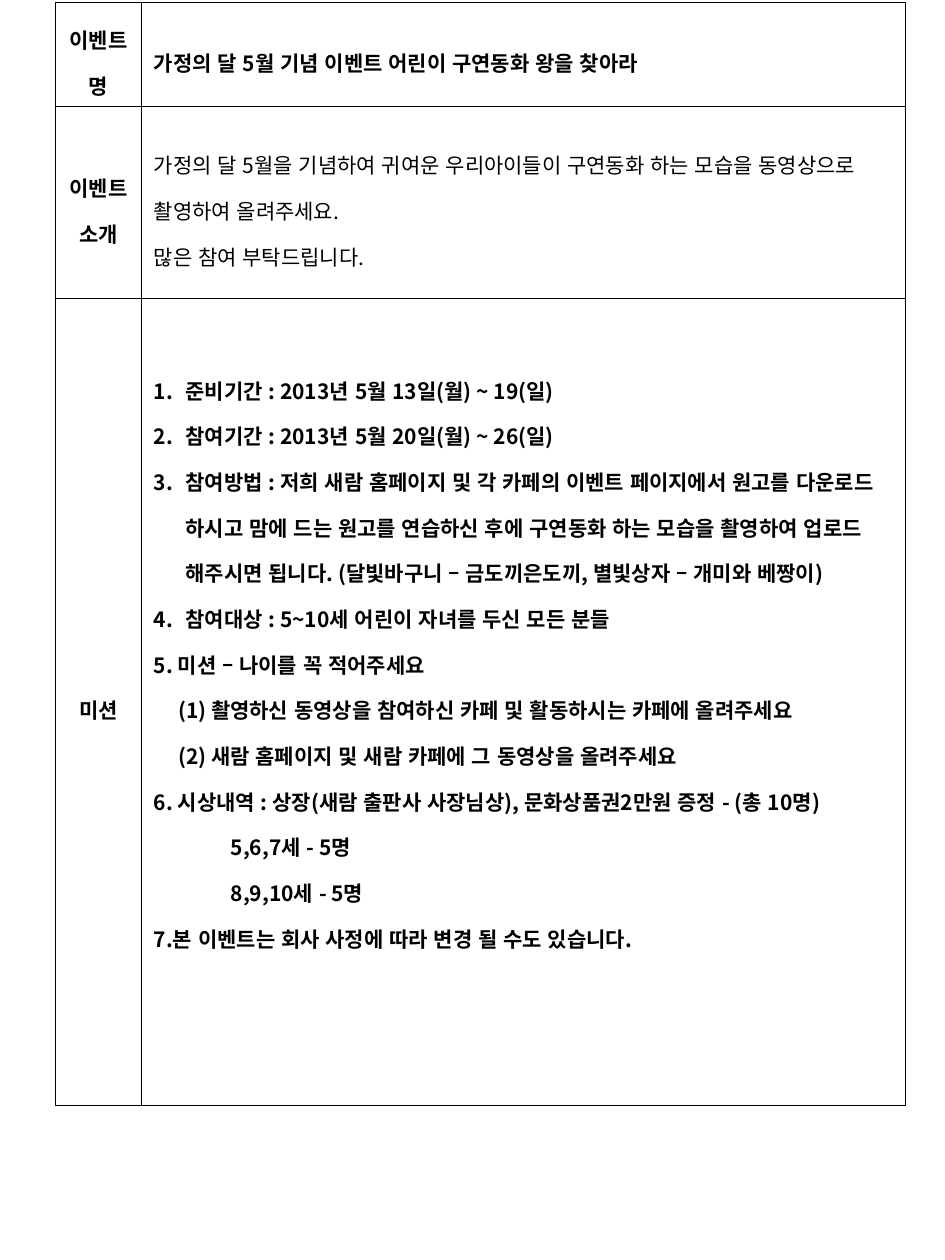
"""Build a one-page event notice as a three-row table."""
from pptx import Presentation
from pptx.dml.color import RGBColor
from pptx.enum.lang import MSO_LANGUAGE_ID
from pptx.enum.text import MSO_ANCHOR, PP_ALIGN
from pptx.oxml.ns import qn
from pptx.util import Cm, Pt
from lxml.etree import SubElement

COLORS = {"ink": "000000"}
FONT = "Noto Sans CJK KR"
PAGE_SIZE = Cm(19.05), Cm(25.4)
TABLE_LEFT, TABLE_TOP = Cm(1.12), Cm(0.05)
COLUMN_WIDTHS = Cm(1.73), Cm(15.4)
BORDER = Pt(0.45)

# left margin and first-line indent of each paragraph kind, in cm
INDENTS = {
    "plain": (0, 0),
    "numbered": (0.64, -0.64),
    "item": (0.64, -0.64),
    "step": (0.49, 0),
    "prize": (1.55, 0),
}

ROWS = [
    {
        "label": "이벤트 명", "height": 2.08, "bottom": 0.13, "bold": True,
        "lines": [("plain", "가정의 달 5월 기념 이벤트 어린이 구연동화 왕을 찾아라")],
    },
    {
        "label": "이벤트소개", "height": 3.87, "bottom": 0.13, "bold": False,
        "lines": [
            ("plain", "가정의 달 5월을 기념하여 귀여운 우리아이들이 구연동화 하는 모습을 "
                      "동영상으로 촬영하여 올려주세요."),
            ("plain", "많은 참여 부탁드립니다."),
        ],
    },
    {
        "label": "미션", "height": 16.26, "bottom": 1.97, "bold": True,
        "lines": [
            ("numbered", "준비기간 : 2013년 5월 13일(월) ~ 19(일)"),
            ("numbered", "참여기간 : 2013년 5월 20일(월) ~ 26(일)"),
            ("numbered", "참여방법 : 저희 새람 홈페이지 및 각 카페의 이벤트 페이지에서 원고를 "
                         "다운로드 하시고 맘에 드는 원고를 연습하신 후에 구연동화 하는 모습을 "
                         "촬영하여 업로드 해주시면 됩니다. (달빛바구니 – 금도끼은도끼, "
                         "별빛상자 – 개미와 베짱이)"),
            ("numbered", "참여대상 : 5~10세 어린이 자녀를 두신 모든 분들"),
            ("item", "5. 미션 – 나이를 꼭 적어주세요"),
            ("step", "(1) 촬영하신 동영상을 참여하신 카페 및 활동하시는 카페에 올려주세요"),
            ("step", "(2) 새람 홈페이지 및 새람 카페에 그 동영상을 올려주세요"),
            ("item", "6. 시상내역 : 상장(새람 출판사 사장님상), 문화상품권2만원 증정 - (총 10명)"),
            ("prize", "5,6,7세 - 5명"),
            ("prize", "8,9,10세 - 5명"),
            ("item", "7.본 이벤트는 회사 사정에 따라 변경 될 수도 있습니다."),
        ],
    },
]


def write_paragraph(para, kind, text, bold, align):
    para.alignment = align
    para.line_spacing = 1.5
    span = para.add_run()
    span.text = text
    formats = {"name": FONT, "size": Pt(12), "bold": bold,
               "language_id": MSO_LANGUAGE_ID.KOREAN}
    for name, value in formats.items():
        setattr(span.font, name, value)
    span.font.color.rgb = RGBColor.from_string(COLORS["ink"])
    SubElement(span.font._element, qn("a:ea"), typeface=FONT)
    properties = para._p.get_or_add_pPr()
    for name, length in zip(("marL", "indent"), INDENTS[kind]):
        properties.set(name, str(Cm(length)))
    if kind == "numbered":
        SubElement(properties, qn("a:buAutoNum"), type="arabicPeriod")
    else:
        SubElement(properties, qn("a:buNone"))


def fill_cell(cell, lines, bold, align, bottom):
    formats = {
        "vertical_anchor": MSO_ANCHOR.MIDDLE,
        "margin_left": Cm(0.25), "margin_right": Cm(0.25),
        "margin_top": Cm(0.13), "margin_bottom": Cm(bottom),
    }
    for name, value in formats.items():
        setattr(cell, name, value)
    properties = cell._tc.get_or_add_tcPr()
    for side in "LRTB":
        line = SubElement(properties, qn(f"a:ln{side}"), w=str(BORDER))
        fill = SubElement(line, qn("a:solidFill"))
        SubElement(fill, qn("a:srgbClr"), val=COLORS["ink"])
    cell.fill.background()
    frame = cell.text_frame
    for index, (kind, text) in enumerate(lines):
        para = frame.add_paragraph() if index else frame.paragraphs[0]
        write_paragraph(para, kind, text, bold, align)


deck = Presentation()
deck.slide_width, deck.slide_height = PAGE_SIZE
page = deck.slides.add_slide(deck.slide_layouts[6])
heights = [Cm(row["height"]) for row in ROWS]
table = page.shapes.add_table(len(ROWS), len(COLUMN_WIDTHS), TABLE_LEFT, TABLE_TOP,
                              sum(COLUMN_WIDTHS), sum(heights)).table
table.first_row = table.horz_banding = False
for column, width in zip(table.columns, COLUMN_WIDTHS):
    column.width = width
for index, (row, height) in enumerate(zip(ROWS, heights)):
    table.rows[index].height = height
    fill_cell(table.cell(index, 0), [("plain", row["label"])], True, PP_ALIGN.CENTER, 0.13)
    fill_cell(table.cell(index, 1), row["lines"], row["bold"], PP_ALIGN.LEFT, row["bottom"])
deck.save("out.pptx")
